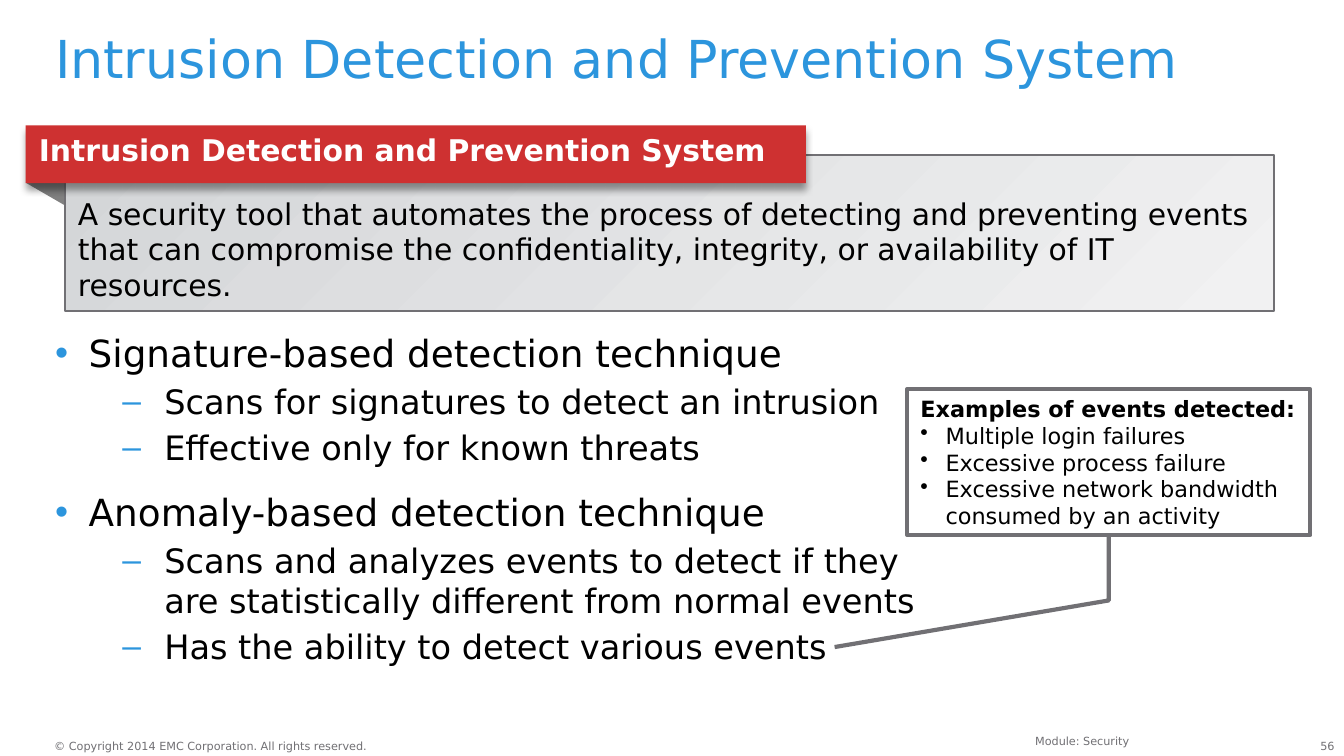
"""Build the slide on intrusion detection and prevention systems."""
from lxml import etree
from pptx import Presentation
from pptx.dml.color import RGBColor
from pptx.enum.shapes import MSO_SHAPE
from pptx.enum.text import MSO_ANCHOR, MSO_AUTO_SIZE, PP_ALIGN
from pptx.oxml.ns import qn
from pptx.util import Pt

BLUE, GREY, RED, BLACK, WHITE = "2C95DD", "717074", "CE3131", "000000", "FFFFFF"
color = RGBColor.from_string


def write(box, lines, size, ink, inset=(0, 0, 0, 0), anchor=MSO_ANCHOR.TOP, align=PP_ALIGN.LEFT):
    """Fill a box with evenly styled paragraphs and return them."""
    frame = box.text_frame
    frame.text = "\n".join(lines)
    frame.word_wrap = True
    frame.auto_size = MSO_AUTO_SIZE.NONE
    frame.vertical_anchor = anchor
    frame.margin_left, frame.margin_top, frame.margin_right, frame.margin_bottom = map(Pt, inset)
    for paragraph in frame.paragraphs:
        paragraph.alignment = align
        paragraph.font.name = "DejaVu Sans"
        paragraph.font.size = Pt(size)
        paragraph.font.color.rgb = color(ink)
    return frame.paragraphs


def add_bullet(paragraph, symbol, left, hanging, ink):
    """Give a paragraph a coloured bullet with a hanging indent."""
    properties = paragraph._p.get_or_add_pPr()
    properties.set("marL", str(Pt(left)))
    properties.set("indent", str(-Pt(hanging)))
    bullet_color = etree.Element(qn("a:buClr"))
    etree.SubElement(bullet_color, qn("a:srgbClr"), val=ink)
    bullet = etree.Element(qn("a:buChar"), char=symbol)
    defaults = properties.find(qn("a:defRPr"))
    defaults.addprevious(bullet_color)
    defaults.addprevious(bullet)


deck = Presentation()
deck.slide_width, deck.slide_height = Pt(720), Pt(405)
page = deck.slides.add_slide(deck.slide_layouts[1])
shapes = page.shapes
inset = (7.2, 3.6, 7.2, 3.6)

title, body = shapes.title, page.placeholders[1]
title.left, title.top, title.width, title.height = Pt(29.5), Pt(18), Pt(666), Pt(36)
write(title, ["Intrusion Detection and Prevention System"], 28, BLUE)[0].line_spacing = 0.9

techniques = [
    (0, "Signature-based detection technique"),
    (1, "Scans for signatures to detect an intrusion"),
    (1, "Effective only for known threats"),
    (0, "Anomaly-based detection technique"),
    (1, "Scans and analyzes events to detect if they are statistically different from normal events"),
    (1, "Has the ability to detect various events"),
]
body.left, body.top, body.width, body.height = Pt(29.5), Pt(177), Pt(474.5), Pt(176)
paragraphs = write(body, [text for level, text in techniques], 20, BLACK)
for index, (paragraph, (level, text)) in enumerate(zip(paragraphs, techniques)):
    paragraph.level = level
    paragraph.space_before = Pt(0 if index == 0 else 3 if level else 12)
    paragraph.font.size = Pt(18 if level else 20)
    add_bullet(paragraph, "–" if level else "•", *((58.5, 22.5) if level else (18, 18)), BLUE)

footers = [
    ("56", (692.6, 396, 22.4, 7.2), (0, 0, 0, 0), PP_ALIGN.RIGHT),
    ("© Copyright 2014 EMC Corporation. All rights reserved.",
     (29, 396, 200, 7.2), (0, 0, 0, 0), PP_ALIGN.LEFT),
    ("Module: Security", (204, 390, 408, 11), inset, PP_ALIGN.RIGHT),
]
for text, place, margins, align in footers:
    footer = shapes.add_textbox(*map(Pt, place))
    write(footer, [text], 6, GREY, margins, align=align)

builder = shapes.build_freeform(Pt(14), Pt(98))
builder.add_line_segments([(Pt(34.6), Pt(98)), (Pt(34.6), Pt(110))])
fold = builder.convert_to_shape()
panel = shapes.add_shape(MSO_SHAPE.RECTANGLE, Pt(34.7), Pt(83), Pt(648), Pt(83.5))
banner = shapes.add_shape(MSO_SHAPE.RECTANGLE, Pt(13.8), Pt(67.2), Pt(418), Pt(31))
callout = shapes.add_shape(MSO_SHAPE.LINE_CALLOUT_2, Pt(486), Pt(208.6), Pt(216), Pt(78))
for shape in (fold, panel, banner, callout):
    shape.shadow.inherit = False

for shape, fill in ((fold, "808080"), (banner, RED)):
    shape.fill.solid()
    shape.fill.fore_color.rgb = color(fill)
    shape.line.fill.background()
for shape, width in ((panel, 1), (callout, 2.25)):
    shape.line.color.rgb = color(GREY)
    shape.line.width = Pt(width)

panel.fill.gradient()
panel.fill.gradient_angle = 315
for stop, shade in zip(panel.fill.gradient_stops, ("D4D6D8", "F1F1F2")):
    stop.color.rgb = color(shade)
definition = ("A security tool that automates the process of detecting and preventing events "
              "that can compromise the confidentiality, integrity, or availability of IT resources.")
write(panel, [definition], 16, BLACK, (7.2, 21.6, 7.2, 3.6))

heading = write(banner, ["Intrusion Detection and Prevention System"], 16, WHITE, inset)[0]
heading.font.bold = True
effects = banner._element.spPr.find(qn("a:effectLst"))
shadow = etree.SubElement(effects, qn("a:outerShdw"), blurRad=str(Pt(4)), dist=str(Pt(3)),
                          dir="5400000", algn="t", rotWithShape="0")
shadow_color = etree.SubElement(shadow, qn("a:srgbClr"), val=BLACK)
etree.SubElement(shadow_color, qn("a:alpha"), val="40000")

callout.fill.background()
for index, value in enumerate((1, 0.5, 1.45, 0.5, 1.77, -0.18)):
    callout.adjustments[index] = value
events = [
    "Examples of events detected:",
    "Multiple login failures",
    "Excessive process failure",
    "Excessive network bandwidth consumed by an activity",
]
caption, *examples = write(callout, events, 12, BLACK, inset, MSO_ANCHOR.MIDDLE)
caption.font.bold = True
for example in examples:
    add_bullet(example, "•", 13.5, 13.5, BLACK)

deck.save("out.pptx")
